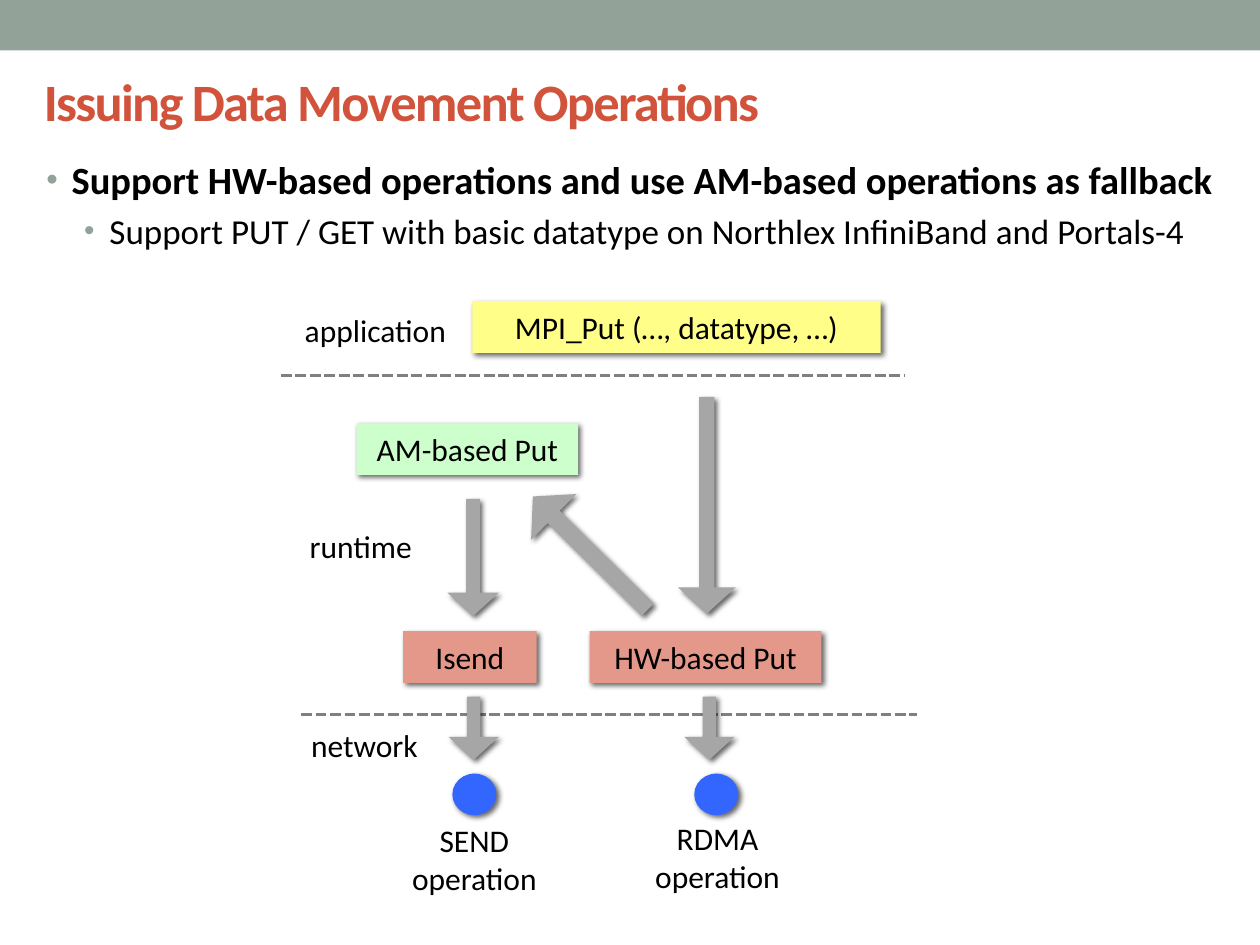
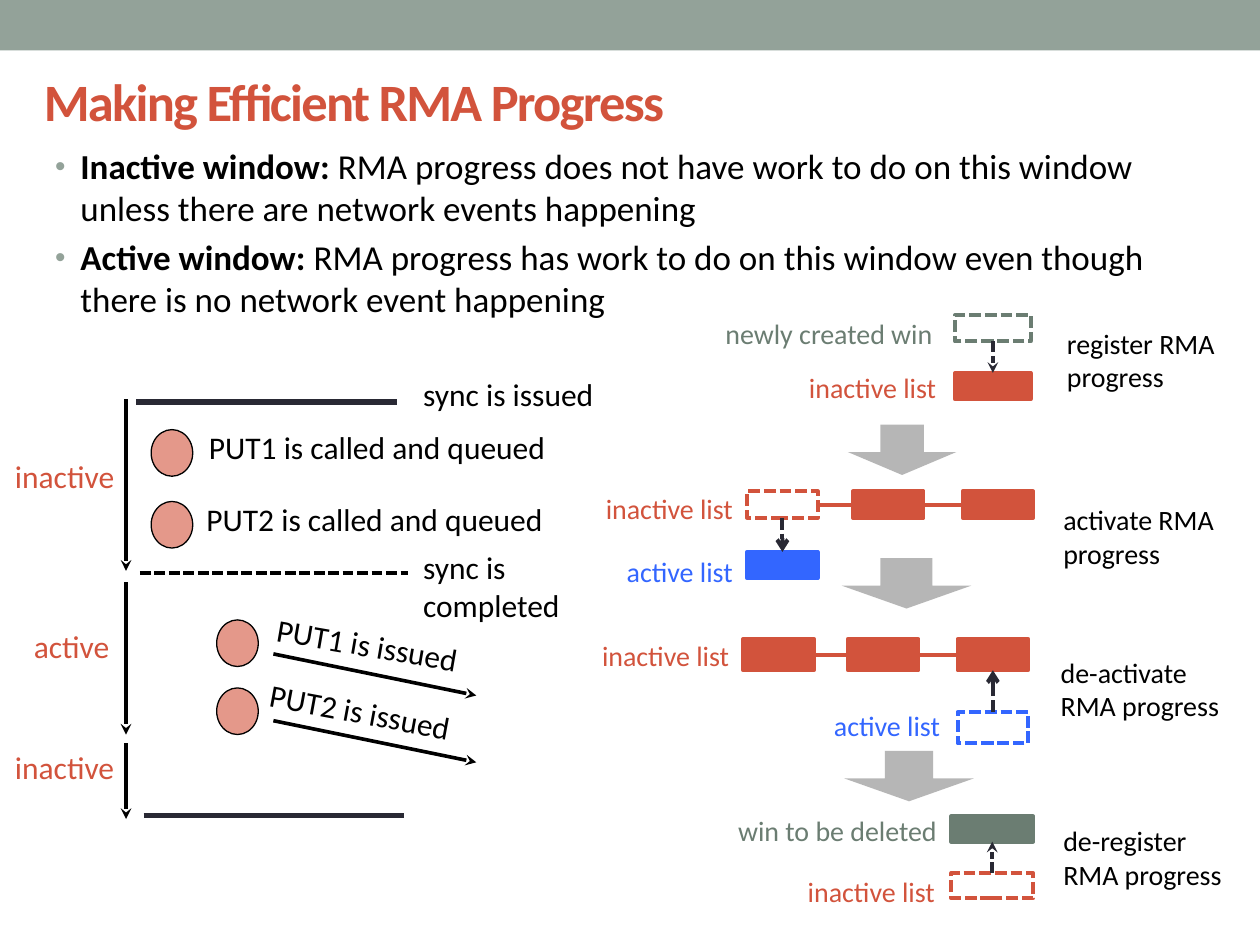
from dataclasses import dataclass

import pptx
import pptx.dml.color
import pptx.enum.dml
import pptx.enum.shapes
import pptx.enum.text
import pptx.oxml
import pptx.oxml.ns
import pptx.slide
import pptx.util
from pptx.util import Inches

FONT = "Calibri"
COLORS = {
    "band": "93A299", "title": "D2533C", "text": "000000", "rule": "808080",
    "arrow": "A6A6A6", "dark": "292934", "salmon": "E4988A", "yellow": "FFFE89",
    "green": "CCFFCC", "blue": "3366FF", "red": "D2533C", "slate": "6B7D72",
}
SHAPES = pptx.enum.shapes.MSO_SHAPE
ALIGN = pptx.enum.text.PP_ALIGN
ANCHOR = pptx.enum.text.MSO_ANCHOR
DASH = pptx.enum.dml.MSO_LINE.SQUARE_DOT
NAMESPACE = pptx.oxml.ns.nsdecls("a")


def rgb(color):
    return pptx.dml.color.RGBColor.from_string(COLORS[color])


def xml(markup):
    """Parse one drawing element, adding the namespace to its tag."""
    name, rest = markup[1:].split(" ", 1)
    return pptx.oxml.parse_xml(f"<a:{name} {NAMESPACE} {rest}")


def write_text(frame, text, lead="", size=18, color="text", bold=False,
               align=ALIGN.LEFT, level=None, first=True, spacing=None):
    """Write one paragraph; a lead is bold and a level gives it a bullet."""
    paragraph = frame.paragraphs[0] if first else frame.add_paragraph()
    paragraph.alignment = align
    if level is not None:
        properties = paragraph._p.get_or_add_pPr()
        properties.set("marL", str(Inches(0.2 + 0.3 * level)))
        properties.set("indent", str(Inches(-0.2)))
        properties.append(xml(f'<buClr ><a:srgbClr val="{COLORS["band"]}"/></a:buClr>'))
        properties.append(xml('<buSzPct val="85000"/>'))
        properties.append(xml('<buFont typeface="Arial"/>'))
        properties.append(xml('<buChar char="•"/>'))
        paragraph.level = level
    if not first:
        paragraph.space_before = pptx.util.Pt(size * 0.2)
    for part, heavy in ((lead, True), (text, bold)):
        if part:
            run = paragraph.add_run()
            run.text = part
            run.font.name = FONT
            run.font.size = pptx.util.Pt(size)
            run.font.bold = heavy
            run.font.color.rgb = rgb(color)
            if spacing is not None:
                run.font._element.set("spc", str(spacing))


@dataclass
class Region:
    """Part of a slide whose contents are placed from its top left corner."""
    slide: pptx.slide.Slide
    left: float = 0
    top: float = 0

    def box(self, left, top, width, height):
        return [Inches(length) for length in
                (self.left + left, self.top + top, width, height)]

    def frame(self, left, top, width, height, rotation=0):
        shape = self.slide.shapes.add_textbox(*self.box(left, top, width, height))
        shape.rotation = rotation
        shape.text_frame.word_wrap = True
        return shape.text_frame

    def label(self, text, left, top, width, height=0.4, rotation=0, **style):
        frame = self.frame(left, top, width, height, rotation)
        frame.auto_size = pptx.enum.text.MSO_AUTO_SIZE.SHAPE_TO_FIT_TEXT
        write_text(frame, text, **style)

    def shape(self, kind, left, top, width, height, fill=None, line=None,
              weight=0.75, dashed=False, shadow=False, text=None):
        shape = self.slide.shapes.add_shape(kind, *self.box(left, top, width, height))
        shape.shadow.inherit = False
        if fill:
            shape.fill.solid()
            shape.fill.fore_color.rgb = rgb(fill)
        else:
            shape.fill.background()
        if line:
            shape.line.color.rgb = rgb(line)
            shape.line.width = pptx.util.Pt(weight)
            if dashed:
                shape.line.dash_style = DASH
        else:
            shape.line.fill.background()
        if shadow:
            shape._element.spPr.find(pptx.oxml.ns.qn("a:effectLst")).append(xml(
                '<outerShdw blurRad="38100" dist="25400" dir="2700000" algn="tl" '
                'rotWithShape="0"><a:srgbClr val="000000"><a:alpha val="60000"/>'
                '</a:srgbClr></a:outerShdw>'))
        if text:
            shape.text_frame.vertical_anchor = ANCHOR.MIDDLE
            write_text(shape.text_frame, text, align=ALIGN.CENTER)
        return shape

    def block_arrow(self, left, top, width, height, shaft=0.267, opacity=None,
                    rotation=0, shadow=False):
        arrow = self.shape(SHAPES.DOWN_ARROW, left, top, width, height, "arrow",
                           shadow=shadow)
        arrow.adjustments[0], arrow.adjustments[1] = shaft, 0.454
        arrow.rotation = rotation
        if opacity:
            color = arrow._element.spPr.find(
                pptx.oxml.ns.qn("a:solidFill"))[0]
            color.append(xml(f'<alpha val="{opacity * 1000}"/>'))

    def line(self, start, end, color="text", weight=2.08, dashed=False, head=None):
        points = [Inches(length) for x, y in (start, end)
                  for length in (self.left + x, self.top + y)]
        line = self.slide.shapes.add_connector(
            pptx.enum.shapes.MSO_CONNECTOR.STRAIGHT, *points)
        line.line.color.rgb = rgb(color)
        line.line.width = pptx.util.Pt(weight)
        if dashed:
            line.line.dash_style = DASH
        if head:
            line.line._get_or_add_ln().append(xml(f'<tailEnd type="{head}"/>'))
        line._element.spPr.append(xml("<effectLst />"))


def add_slide(presentation, title, title_box):
    """Add a slide with the shared band and title style."""
    slide = presentation.slides.add_slide(presentation.slide_layouts[6])
    page = Region(slide)
    page.shape(SHAPES.RECTANGLE, 0, 0, 10, 0.4, "band")
    frame = page.frame(*title_box)
    frame.vertical_anchor = ANCHOR.MIDDLE
    write_text(frame, title, size=30, color="title", bold=True, spacing=-100)
    return slide


def add_bullets(region, width, height, bullets):
    frame = region.frame(0, 0, width, height)
    for index, bullet in enumerate(bullets):
        write_text(frame, first=index == 0, **bullet)


def draw_operation_layers(region):
    """Application, runtime and network layers of a put operation."""
    for left, top, width in ((0.03, 0.63, 4.95), (0.19, 3.32, 4.89)):
        region.line((left, top), (left + width, top), "rule", dashed=True)
    for text, left, top, width, fill in (
            ("HW-based Put", 2.48, 2.66, 1.84, "salmon"),
            ("MPI_Put (…, datatype, …)", 1.55, 0.04, 3.24, "yellow"),
            ("AM-based Put", 0.63, 1.01, 1.76, "green"),
            ("Isend", 1, 2.66, 1.06, "salmon")):
        region.shape(SHAPES.RECTANGLE, left, top, width, 0.41, fill,
                     shadow=True, text=text)
    for left, top, width, height, rotation in (
            (3.18, 0.8, 0.46, 1.72, 0), (3.23, 3.18, 0.4, 0.5, 0),
            (2.23, 1.4, 0.51, 1.28, 134.6), (1.35, 1.61, 0.41, 0.93, 0),
            (1.36, 3.18, 0.4, 0.5, 0)):
        region.block_arrow(left, top, width, height, rotation=rotation, shadow=True)
    for left in (1.39, 3.31):
        region.shape(SHAPES.OVAL, left, 3.79, 0.35, 0.33, "blue", shadow=True)
    for text, left, top in (("SEND operation", 0.73, 4.12),
                            ("RDMA operation", 2.66, 4.1)):
        region.label(text, left, top, 1.67, 0.71, align=ALIGN.CENTER)
    for text, left, top, width in (("application", 0.12, 0.07, 1.61),
                                   ("runtime", 0.16, 1.78, 1.23),
                                   ("network", 0.17, 3.36, 1.18)):
        region.label(text, left, top, width)


def draw_timeline(region):
    """Window states over time, with the calls made in each."""
    for left, top in ((1.08, 0.29), (1.14, 3.57)):
        region.line((left, top), (left + 2.07, top), "dark", 3)
    region.line((1.11, 1.65), (3.24, 1.65), dashed=True)
    region.label("sync is issued", 3.26, 0.03, 1.68)
    region.label("sync is completed", 3.26, 1.4, 1.34, 0.71)
    for left, top in ((1.2, 0.51), (1.2, 1.08), (1.72, 2.02), (1.72, 2.56)):
        region.shape(SHAPES.OVAL, left, top, 0.33, 0.37, "salmon", "text")
    region.label("PUT1 is called and queued", 1.56, 0.45, 3.01)
    region.label("PUT2 is called and queued", 1.54, 1.02, 3.02)
    for text, left, top, width, rotation, arrow_top in (
            ("PUT1 is issued", 2.09, 2.06, 2.18, 9.8, 2.29),
            ("PUT2 is issued", 2.03, 2.6, 2.25, 10.5, 2.82)):
        region.line((2.17, arrow_top), (3.78, arrow_top + 0.33), head="stealth")
        region.label(text, left, top, width, rotation=rotation)
    for state, left, top, width, start, end in (
            ("inactive", 0.02, 0.68, 1.38, 0.27, 1.63),
            ("active", 0.17, 2.03, 1.27, 1.72, 2.93),
            ("inactive", 0.02, 2.99, 1.67, 3, 3.6)):
        region.label(state, left, top, width, color="red")
        region.line((1, start), (1, end), head="stealth")


@dataclass
class WindowList:
    """A labelled row of windows; hollow ones are dashed outlines."""
    name: str
    color: str
    name_box: tuple
    top: float
    lefts: tuple
    hollow: bool = False
    align: ALIGN = ALIGN.LEFT


def draw_progress_step(region, caption, caption_box, lists, size, upward=False,
                       head="stealth", weight=2.08):
    """Two window lists and the dashed arrow that moves a window between them."""
    width, height = size
    region.label(caption, *caption_box, size=16)
    for row in lists:
        region.label(row.name, *row.name_box, size=16, color=row.color, align=row.align)
        for index, left in enumerate(row.lefts):
            hollow = row.hollow and index == 0
            region.shape(SHAPES.RECTANGLE, left, row.top, width, height,
                         None if hollow else row.color, row.color, 2.25, hollow)
        middle = row.top + height / 2
        for left, following in zip(row.lefts, row.lefts[1:]):
            region.line((left + width, middle), (following, middle), row.color, 2.25)
    upper, lower = lists
    center = lower.lefts[0] + width / 2
    ends = [(center, upper.top + height), (center, lower.top)]
    start, end = reversed(ends) if upward else ends
    region.line(start, end, "dark", weight, dashed=True, head=head)


def draw_progress_steps(slide, left):
    center = ALIGN.CENTER
    draw_progress_step(
        Region(slide, left, 2.5), "register RMA progress", (3.67, 0.04, 1.44, 0.64),
        [WindowList("newly created win", "slate", (0.96, -0.04, 1.93, 0.31), 0, (2.88,), True),
         WindowList("inactive list", "red", (1.1, 0.39, 2.25, 0.31), 0.46, (2.88,),
                    align=center)], (0.6, 0.21))
    draw_progress_step(
        Region(slide, left, 3.9), "activate RMA progress", (3.64, 0.04, 1.58, 0.64),
        [WindowList("inactive list", "red", (0.01, -0.05, 1.37, 0.25), 0,
                    (1.23, 2.07, 2.94), True),
         WindowList("active list", "blue", (0.16, 0.45, 1.07, 0.25), 0.48, (1.23,),
                    align=center)], (0.56, 0.21), head="arrow", weight=2.25)
    draw_progress_step(
        Region(slide, left, 5.07), "de-activate RMA progress", (3.62, 0.08, 1.63, 0.61),
        [WindowList("inactive list", "red", (-0.02, -0.05, 1.37, 0.28), 0,
                    (1.2, 2.03, 2.9)),
         WindowList("active list", "blue", (1.81, 0.5, 1.06, 0.28), 0.58, (2.9,), True,
                    center)], (0.56, 0.25), True, "arrow", 2.25)
    draw_progress_step(
        Region(slide, left, 6.48), "de-register RMA progress", (3.64, 0.01, 1.48, 0.51),
        [WindowList("win to be deleted", "slate", (1.06, -0.07, 2.09, 0.3), 0, (2.85,)),
         WindowList("inactive list", "red", (0.99, 0.41, 2.45, 0.23), 0.45, (2.85,), True,
                    center)], (0.65, 0.2), True)
    between = Region(slide, left)
    for offset, top, width, shaft in ((2.03, 3.37, 0.86, 0.401),
                                      (1.98, 4.43, 1.03, 0.401),
                                      (2, 5.96, 1.03, 0.372)):
        between.block_arrow(offset, top, width, 0.4, shaft, opacity=81)


def main():
    presentation = pptx.Presentation()
    presentation.slide_width, presentation.slide_height = Inches(10), Inches(7.5)

    slide = add_slide(presentation, "Issuing Data Movement Operations",
                      (0.25, 0.37, 9.15, 0.85))
    add_bullets(Region(slide, 0.27, 1.19), 9.55, 1.27, [
        dict(text="Support HW-based operations and use AM-based operations as fallback",
             size=22, bold=True, level=0),
        dict(text="Support PUT / GET with basic datatype on Northlex InfiniBand and Portals-4",
             size=20, level=1)])
    draw_operation_layers(Region(slide, 2.2, 2.35))

    slide = add_slide(presentation, "Making Efficient RMA Progress",
                      (0.25, 0.26, 9.63, 1.08))
    add_bullets(Region(slide, 0.34, 1.1), 9.3, 1.75, [
        dict(lead="Inactive window: ", size=20, level=0,
             text="RMA progress does not have work to do on this window "
                  "unless there are network events happening"),
        dict(lead="Active window: ", size=20, level=0,
             text="RMA progress has work to do on this window even though "
                  "there is no network event happening")])
    draw_timeline(Region(slide, 0, 2.9))
    draw_progress_steps(slide, 4.7)

    presentation.save("out.pptx")


if __name__ == "__main__":
    main()
